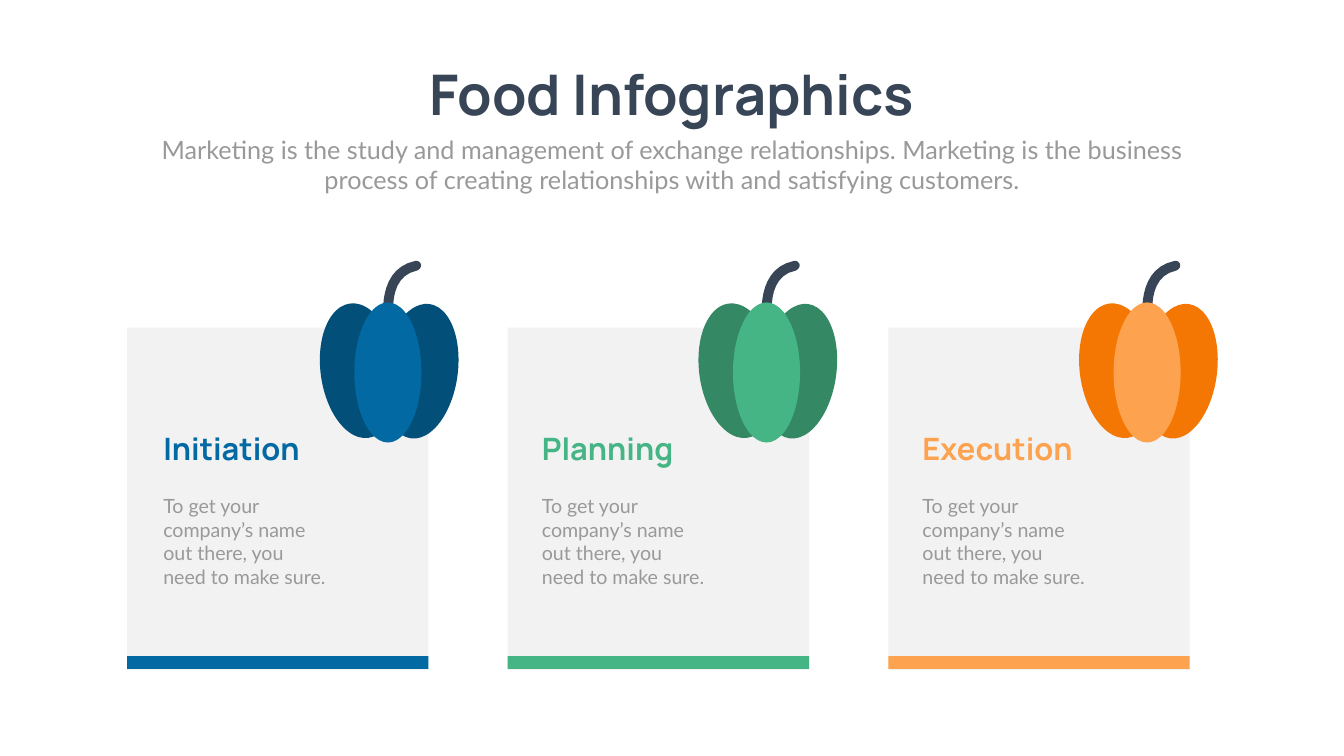
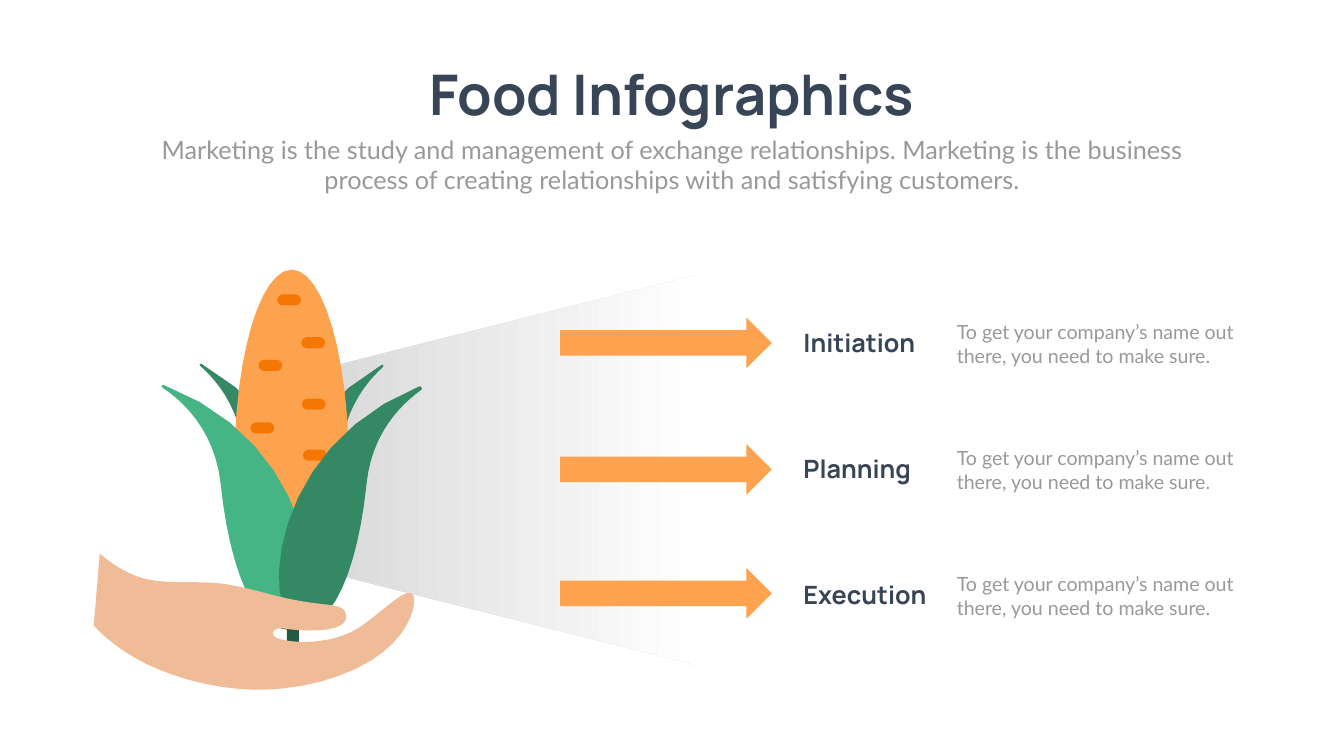
"""Build two food infographic slides: pumpkin cards and a corn cob with arrows."""
from dataclasses import dataclass

from lxml.etree import SubElement
from pptx import Presentation
from pptx.dml.color import RGBColor as Rgb
from pptx.enum.shapes import MSO_SHAPE as Kind
from pptx.enum.text import MSO_ANCHOR as Anchor, MSO_AUTO_SIZE as Fit, PP_ALIGN as Align
from pptx.oxml.ns import qn
from pptx.util import Pt

PX = 9144
STEPS = 12


@dataclass(frozen=True)
class Theme:
    head: str = "Manrope"
    body: str = "Lato"
    title: int = 80
    lead: int = 36
    card: int = 44
    item: int = 36
    note: int = 28
    back: str = "FEFFFE"
    ink: str = "374556"
    gray: str = "999999"
    panel: str = "F2F2F2"
    mist: str = "D9D9D9"
    white: str = "FFFFFF"
    blue: str = "0369A2"
    navy: str = "024F7A"
    green: str = "46B586"
    leaf: str = "358864"
    stalk: str = "235A43"
    gold: str = "FDA24E"
    orange: str = "F57703"
    skin: str = "EFBC97"


T = Theme()
TITLE = "Food Infographics"
LEAD = ("Marketing is the study and management of exchange relationships. "
        "Marketing is the business process of creating relationships with "
        "and satisfying customers.")
NOTE = "To get your company’s name out there, you need to make sure."

CARDS = [
    ("Initiation", 314, T.blue, T.navy),
    ("Planning", 1065, T.green, T.leaf),
    ("Execution", 1820, T.gold, T.orange),
]
ITEMS = [("Initiation", 630), ("Planning", 881), ("Execution", 1127)]

STEM = [(2, 647), (-3, 647, -7, 644, -8, 639), (-14, 603, -10, 531, 53, 518),
        (58, 516, 64, 520, 65, 525), (66, 530, 62, 535, 57, 537),
        (-3, 549, 11, 632, 12, 636), (13, 641, 9, 646, 4, 647),
        (3, 647, 3, 647, 2, 647)]
SIDES = [(-134, 601, 153, 269, -7.9), (-11, 602, 149, 269, 7.9)]
CORE = (-67, 600, 133, 278)

REAR = [
    [(400, 722), (397, 721, 395, 724, 397, 726), (431, 755, 492, 826, 483, 941),
     (470, 1098, 494, 1246, 570, 1236), (645, 1226, 690, 891, 400, 722)],
    [(757, 724), (759, 722, 762, 726, 760, 728), (726, 758, 667, 829, 676, 941),
     (689, 1099, 665, 1246, 589, 1236), (514, 1226, 470, 892, 757, 724)],
]
COB = [(664, 1177), (681, 1108, 692, 1020, 692, 923), (692, 708, 641, 535, 579, 535),
       (516, 535, 465, 708, 465, 923), (465, 1020, 476, 1108, 493, 1177), (664, 1177)]
SEEDS = [(550, 584), (598, 669), (513, 714), (599, 791), (497, 838), (601, 892)]
LEFT = [(325, 764), (322, 763, 319, 767, 322, 769), (362, 795, 427, 854, 438, 962),
        (454, 1118, 503, 1260, 576, 1236), (647, 1213, 633, 881, 325, 764)]
RIGHT = [(831, 767), (835, 765, 839, 772, 835, 774), (795, 803, 737, 860, 727, 961),
         (711, 1118, 661, 1260, 588, 1236), (518, 1214, 532, 887, 831, 767)]
CUP = [(519, 1200), (511, 1200, 506, 1208, 511, 1215), (526, 1236, 552, 1250, 581, 1250),
       (610, 1250, 636, 1236, 651, 1215), (656, 1208, 651, 1200, 643, 1200), (519, 1200)]
HAND = [(186, 1241), (198, 1098), (198, 1098, 235, 1134, 286, 1148),
        (331, 1160, 395, 1151, 447, 1159), (514, 1170, 534, 1182, 599, 1193),
        (650, 1202, 678, 1198, 685, 1215), (700, 1252, 624, 1256, 562, 1247),
        (539, 1244, 529, 1264, 563, 1270), (599, 1277, 672, 1277, 723, 1238),
        (783, 1192, 802, 1171, 817, 1178), (831, 1184, 821, 1288, 672, 1341),
        (523, 1394, 393, 1359, 319, 1330), (231, 1295, 186, 1241, 186, 1241)]


def emu(*vals):
    return [round(v * PX) for v in vals]


def paint(shape, color):
    shape.shadow.inherit = False
    shape.line.fill.background()
    shape.fill.solid()
    shape.fill.fore_color.rgb = Rgb.from_string(color)
    return shape


def form(shapes, kind, box, color, turn=0):
    shape = paint(shapes.add_shape(kind, *emu(*box)), color)
    shape.rotation = turn
    return shape


def pill(shapes, box, color):
    form(shapes, Kind.ROUNDED_RECTANGLE, box, color).adjustments[0] = 0.5


def bend(start, seg):
    """Return the points along one line or cubic segment."""
    if len(seg) == 2:
        return [seg]
    knots = [start, seg[:2], seg[2:4], seg[4:]]
    pts = []
    for i in range(1, STEPS + 1):
        t = i / STEPS
        ratio = ((1 - t) ** 3, 3 * t * (1 - t) ** 2, 3 * t * t * (1 - t), t ** 3)
        pts.append(tuple(sum(r * k[axis] for r, k in zip(ratio, knots)) for axis in (0, 1)))
    return pts


def trace(shapes, path, color, dx=0):
    pts = [path[0]]
    for seg in path[1:]:
        pts += bend(pts[-1], seg)
    first, *rest = [emu(x + dx, y) for x, y in pts]
    pen = shapes.build_freeform(*first, scale=1.0)
    pen.add_line_segments(rest, close=True)
    paint(pen.convert_to_shape(), color)


def write(shape, text, face, size, color, bold=False, align=Align.LEFT, wrap=True):
    frame = shape.text_frame
    frame.word_wrap = wrap
    frame.auto_size = Fit.SHAPE_TO_FIT_TEXT
    frame.vertical_anchor = Anchor.TOP
    para = frame.paragraphs[0]
    para.alignment = align
    run = para.add_run()
    run.text = text
    font = run.font
    font.name, font.size, font.bold = face, Pt(size), bold
    font.color.rgb = Rgb.from_string(color)


def label(shapes, box, *style, **more):
    write(shapes.add_textbox(*emu(*box)), *style, **more)


def place(shape, box):
    shape.left, shape.top, shape.width, shape.height = emu(*box)


def start(prs):
    slide = prs.slides.add_slide(prs.slide_layouts[1])
    title, lead = slide.placeholders
    place(title, (802, 114, 1061, 145))
    write(title, TITLE, T.head, T.title, T.ink, True, Align.CENTER, False)
    place(lead, (292, 261, 2082, 131))
    para = lead.text_frame.paragraphs[0]
    props = para._p.get_or_add_pPr()
    props.set("marL", "0")
    props.set("indent", "0")
    SubElement(props, qn("a:buNone"))
    para.space_before = Pt(0)
    write(lead, LEAD, T.body, T.lead, T.gray, align=Align.CENTER)
    return slide.shapes


def pumpkin(shapes, mid, light, dark):
    group = shapes.add_group_shape().shapes
    trace(group, STEM, T.ink, mid)
    for x, y, w, h, turn in SIDES:
        form(group, Kind.OVAL, (mid + x, y, w, h), dark, turn)
    x, *rest = CORE
    form(group, Kind.OVAL, (mid + x, *rest), light)


def cards(prs):
    shapes = start(prs)
    for i, (name, left, light, dark) in enumerate(CARDS):
        x = 252 + 755 * i
        form(shapes, Kind.RECTANGLE, (x, 650, 598, 679), T.panel)
        form(shapes, Kind.RECTANGLE, (x, 1302, 598, 25), light)
        pumpkin(shapes, left + 456, light, dark)
        label(shapes, (left, 848, 345, 84), name, T.head, T.card, light, bold=True)
        label(shapes, (left, 975, 345, 199), NOTE, T.body, T.note, T.gray)


def beam(shapes):
    shape = form(shapes, Kind.TRAPEZOID, (620, 554, 776, 757), T.mist, 270)
    shape.fill.gradient()
    shape.fill.gradient_angle = 270
    for stop, color, pos in zip(shape.fill.gradient_stops, (T.mist, T.white), (0, 1)):
        stop.color.rgb = Rgb.from_string(color)
        stop.position = pos


def corn(shapes):
    for path in REAR:
        trace(shapes, path, T.leaf)
    cob = shapes.add_group_shape().shapes
    trace(cob, COB, T.gold)
    for x, y in SEEDS:
        pill(cob, (x, y, 47, 22), T.orange)
    trace(shapes, LEFT, T.green)
    trace(shapes, RIGHT, T.leaf)
    base = shapes.add_group_shape().shapes
    trace(base, CUP, T.stalk)
    pill(base, (569, 1234, 24, 89), T.stalk)
    trace(shapes, HAND, T.skin)


def harvest(prs):
    shapes = start(prs)
    beam(shapes)
    for i, (name, top) in enumerate(ITEMS):
        y = 630 + 250 * i
        label(shapes, (1584, y + 14, 304, 71), name, T.head, T.item, T.ink, bold=True)
        label(shapes, (1888, y, 592, 104), NOTE, T.body, T.note, T.gray)
        form(shapes, Kind.RIGHT_ARROW, (1111, top, 420, 101), T.gold)
    corn(shapes)


def main():
    prs = Presentation()
    prs.slide_width, prs.slide_height = emu(2666, 1500)
    fill = prs.slide_master.background.fill
    fill.solid()
    fill.fore_color.rgb = Rgb.from_string(T.back)
    cards(prs)
    harvest(prs)
    prs.save("out.pptx")


if __name__ == "__main__":
    main()
